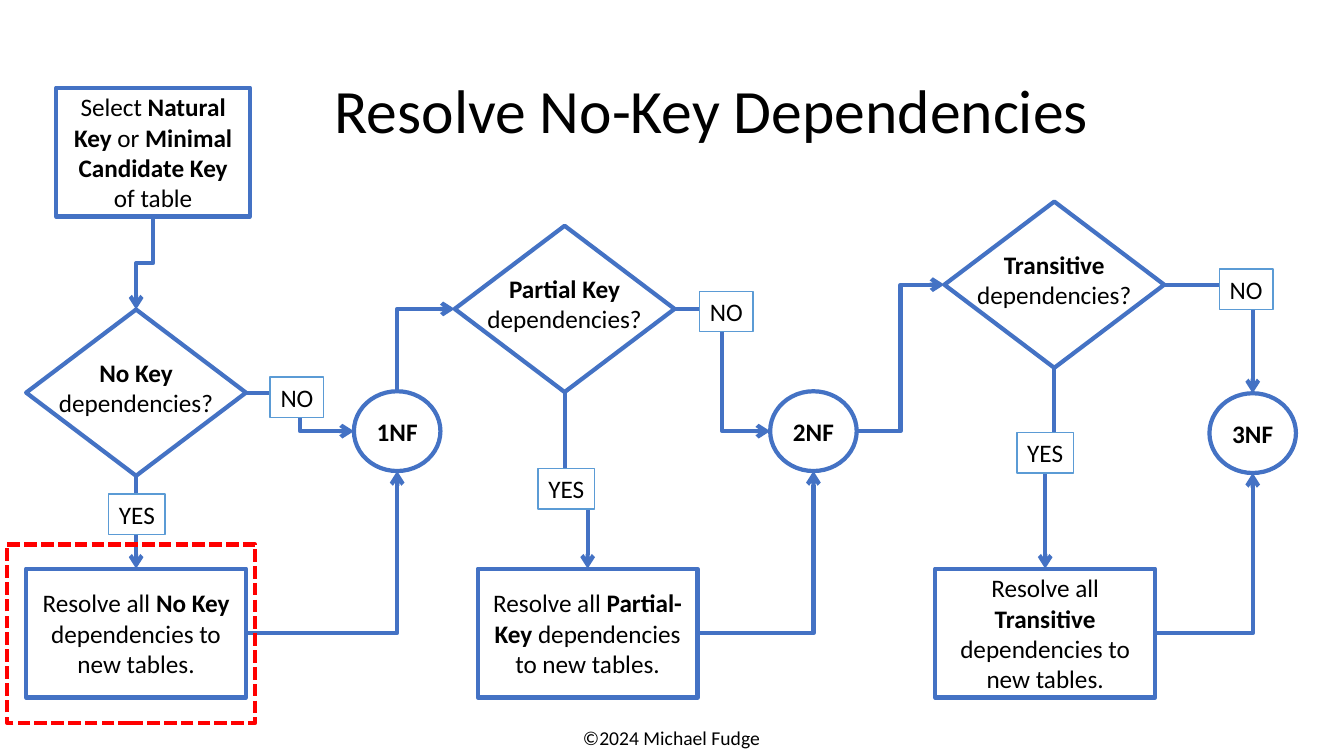
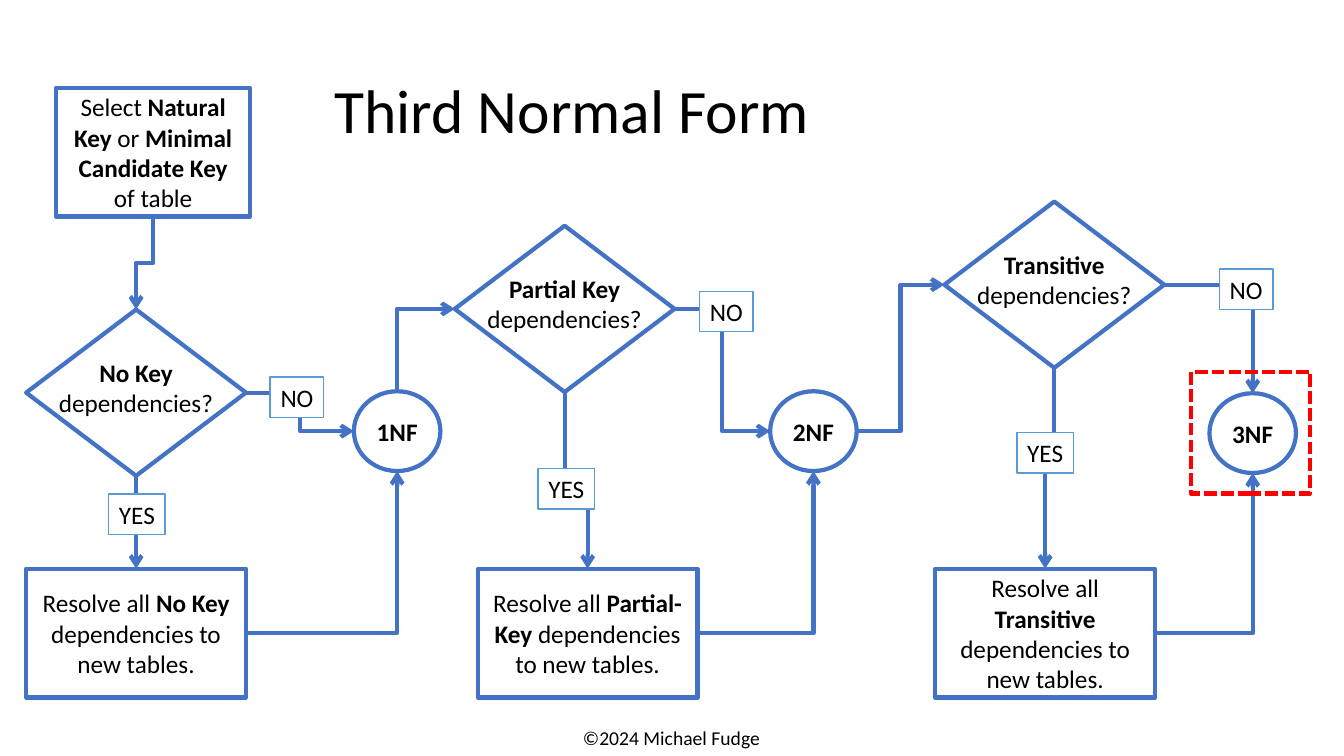
from dataclasses import dataclass

from pptx import Presentation
from pptx import util as u
from pptx.dml.color import RGBColor
from pptx.enum import dml, shapes, text
from pptx.oxml import ns, xmlchemy

SHAPE = shapes.MSO_SHAPE
TOP, LEFT, BOTTOM, RIGHT = range(4)


@dataclass(frozen=True)
class Theme:
    font: str = "Calibri"
    ink: RGBColor = RGBColor(0, 0, 0)
    paper: RGBColor = RGBColor(255, 255, 255)
    flow: RGBColor = RGBColor(0x44, 0x72, 0xC4)
    label: RGBColor = RGBColor(0x5B, 0x9B, 0xD5)
    highlight: RGBColor = RGBColor(255, 0, 0)
    title_size: int = 44
    body_size: int = 18
    footer_size: int = 14
    heavy: int = 3
    thin: int = 1


THEME = Theme()

# Sizes in cm
STEP_SIZE = (5.54, 3.25)
QUESTION_SIZE = (5.54, 4.19)
FORM_SIZE = (2.18, 2.01)
YES_SIZE = (1.42, 1.02)
NO_SIZE = (1.35, 1.02)
STEP_TOP = 14.33

# One stage per normal form; positions are (left, top) in cm
STAGES = [
    dict(question="**No Key**\ndependencies?", question_at=(0.66, 7.8),
         step="Resolve all **No Key **dependencies to new tables.", step_left=0.66,
         form="**1NF**", form_at=(8.92, 9.86),
         yes_at=(2.74, 12.45), no_at=(6.81, 9.5), no_enters=LEFT),
    dict(question="**Partial Key**\ndependencies?", question_at=(11.46, 5.69),
         step="Resolve all **Partial-Key **dependencies to new tables.", step_left=12.04,
         form="**2NF**", form_at=(19.41, 9.86),
         yes_at=(13.56, 11.81), no_at=(17.63, 7.34), no_enters=LEFT),
    dict(question="**Transitive**\ndependencies?", question_at=(23.8, 5.08),
         step="Resolve all **Transitive **dependencies to new tables.", step_left=23.57,
         form="**3NF**", form_at=(30.48, 9.91),
         yes_at=(25.63, 10.9), no_at=(30.73, 6.78), no_enters=TOP),
]

# Title and highlighted area (left, top, width, height) in cm
SLIDES = [
    ("Resolve No-Key Dependencies", (0.18, 13.72, 6.25, 4.5)),
    ("Third Normal Form", (30.02, 9.37, 3, 3.07)),
]


def cm(*values):
    return [u.Cm(value) for value in values]


def write(shape, content, size=THEME.body_size, align=text.PP_ALIGN.CENTER,
          anchor=text.MSO_ANCHOR.MIDDLE, wrap=True, spacing=None, bottom=None):
    """Fill a shape with text; **marks** set bold and a newline breaks the line."""
    frame = shape.text_frame
    frame.word_wrap = wrap
    frame.vertical_anchor = anchor
    if bottom is not None:
        frame.margin_bottom = u.Cm(bottom)
    paragraph = frame.paragraphs[0]
    paragraph.alignment = align
    paragraph.line_spacing = spacing
    for piece_index, piece in enumerate(content.split("**")):
        for line_index, line in enumerate(piece.split("\n")):
            if line_index:
                paragraph.add_line_break()
            if line:
                run = paragraph.add_run()
                run.text = line
                run.font.name = THEME.font
                run.font.size = u.Pt(size)
                run.font.color.rgb = THEME.ink
                run.font.bold = piece_index % 2 == 1


def add_text(slide, area, content, **text_format):
    write(slide.shapes.add_textbox(*cm(*area)), content, **text_format)


def add_box(slide, kind, area, content="", color=THEME.flow, weight=THEME.heavy,
            **text_format):
    shape = slide.shapes.add_shape(kind, *cm(*area))
    shape.shadow.inherit = False
    shape.fill.solid()
    shape.fill.fore_color.rgb = THEME.paper
    shape.line.color.rgb = color
    shape.line.width = u.Pt(weight)
    if content:
        write(shape, content, **text_format)
    return shape


def add_label(slide, position, size, content):
    add_box(slide, SHAPE.RECTANGLE, (*position, *size), content,
            color=THEME.label, weight=THEME.thin, wrap=False)


def add_highlight(slide, area):
    frame = add_box(slide, SHAPE.RECTANGLE, area, color=THEME.highlight)
    frame.fill.background()
    frame.line.dash_style = dml.MSO_LINE.SQUARE_DOT


def connect(slide, source, source_side, target, target_side):
    """Join two shapes with an elbow arrow that leaves and enters at right angles."""
    connector = slide.shapes.add_connector(shapes.MSO_CONNECTOR.ELBOW, 0, 0, 0, 0)
    connector.begin_connect(source, source_side)
    connector.end_connect(target, target_side)
    connector.line.color.rgb = THEME.flow
    connector.line.width = u.Pt(THEME.heavy)

    # An ellipse has eight connection sites, so its side middles are every second one
    ends = connector.element.nvCxnSpPr.cNvCxnSpPr
    for end, shape, side in ((ends.stCxn, source, source_side),
                             (ends.endCxn, target, target_side)):
        if shape.auto_shape_type == SHAPE.OVAL:
            end.set("idx", str(2 * side))

    properties = connector.element.spPr
    if source_side % 2 != target_side % 2:
        properties.find(ns.qn("a:prstGeom")).set("prst", "bentConnector2")
    if source_side in (TOP, BOTTOM):
        turn_upright(connector)
    line = properties.find(ns.qn("a:ln"))
    line.append(xmlchemy.OxmlElement("a:tailEnd"))
    line[-1].set("type", "arrow")
    properties.append(xmlchemy.OxmlElement("a:effectLst"))


def turn_upright(connector):
    """Rotate an elbow a quarter turn so that its first leg is vertical."""
    across = connector.end_x - connector.begin_x
    down = connector.end_y - connector.begin_y
    center_x = (connector.begin_x + connector.end_x) // 2
    center_y = (connector.begin_y + connector.end_y) // 2
    connector.width, connector.height = abs(down), abs(across)
    connector.left = center_x - abs(down) // 2
    connector.top = center_y - abs(across) // 2
    transform = connector.element.spPr.find(ns.qn("a:xfrm"))
    transform.set("rot", str(90 * 60000))
    transform.set("flipH", str(int(down < 0)))
    transform.set("flipV", str(int(across > 0)))


def add_stage(slide, stage, previous, previous_side):
    """Draw one question with its outcomes and return its normal form."""
    question = add_box(slide, SHAPE.DIAMOND, (*stage["question_at"], *QUESTION_SIZE),
                       stage["question"], wrap=False, bottom=0.4)
    step = add_box(slide, SHAPE.RECTANGLE, (stage["step_left"], STEP_TOP, *STEP_SIZE),
                   stage["step"])
    form = add_box(slide, SHAPE.OVAL, (*stage["form_at"], *FORM_SIZE), stage["form"])
    entry = TOP if previous_side == BOTTOM else LEFT
    connect(slide, previous, previous_side, question, entry)
    connect(slide, question, BOTTOM, step, TOP)
    connect(slide, question, RIGHT, form, stage["no_enters"])
    connect(slide, step, RIGHT, form, BOTTOM)
    add_label(slide, stage["yes_at"], YES_SIZE, "YES")
    add_label(slide, stage["no_at"], NO_SIZE, "NO")
    return form


def add_flowchart(slide):
    previous = add_box(slide, SHAPE.RECTANGLE, (1.42, 2.21, 4.88, 3.25),
                       "Select **Natural Key** or **Minimal Candidate Key **of table")
    for stage, exit_side in zip(STAGES, (BOTTOM, TOP, RIGHT)):
        previous = add_stage(slide, stage, previous, exit_side)


def add_slide(presentation, title, highlight):
    slide = presentation.slides.add_slide(presentation.slide_layouts[6])
    add_text(slide, (14.4, 18.16, 5.05, 0.86), "©2024 Michael Fudge",
             size=THEME.footer_size, anchor=text.MSO_ANCHOR.TOP, wrap=False)
    add_flowchart(slide)
    add_text(slide, (8.18, 1.02, 23.37, 3.68), title, size=THEME.title_size,
             align=text.PP_ALIGN.LEFT, spacing=0.9)
    add_highlight(slide, highlight)


def main():
    presentation = Presentation()
    presentation.slide_width, presentation.slide_height = cm(33.87, 19.05)
    for title, highlight in SLIDES:
        add_slide(presentation, title, highlight)
    presentation.save("out.pptx")


if __name__ == "__main__":
    main()
